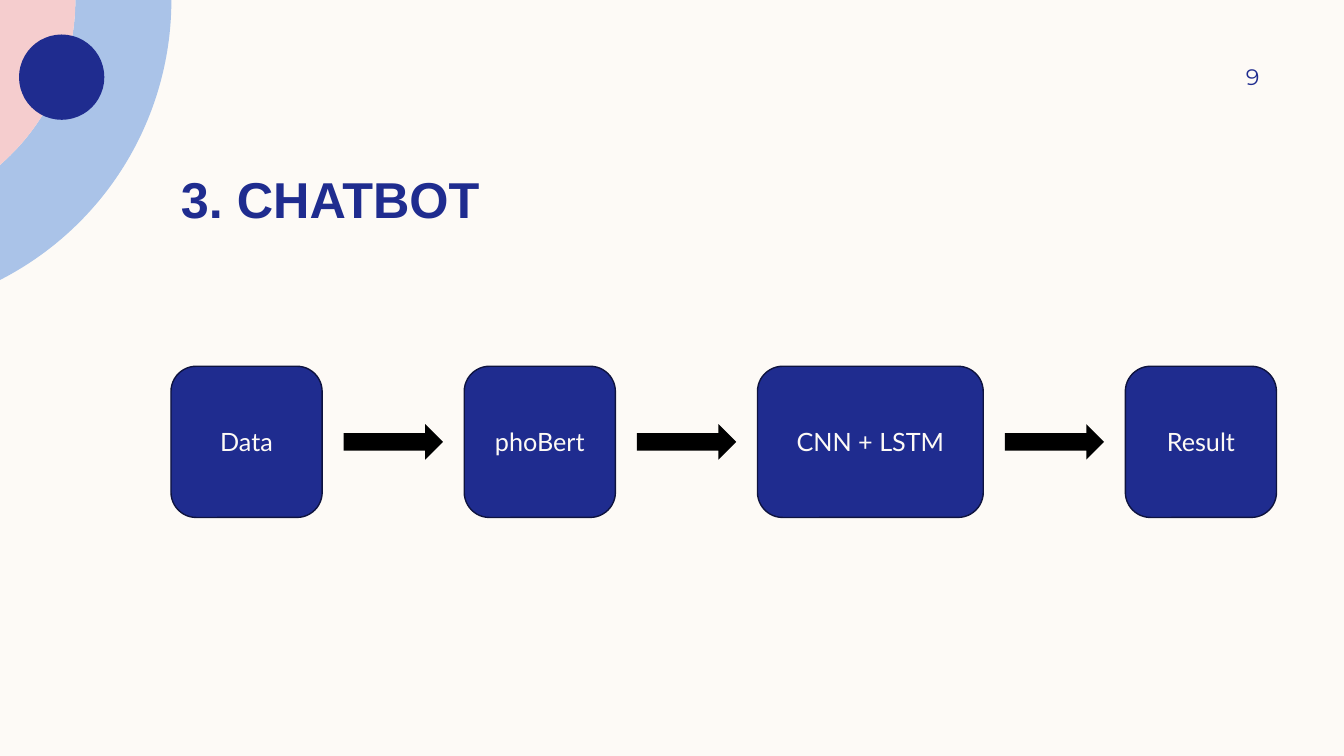
import math

import lxml.etree
import pptx
import pptx.dml.color
import pptx.enum.shapes
import pptx.enum.text
import pptx.oxml.ns
import pptx.util

Cm = pptx.util.Cm
Pt = pptx.util.Pt
qn = pptx.oxml.ns.qn
Shapes = pptx.enum.shapes.MSO_SHAPE
Align = pptx.enum.text.PP_ALIGN
Anchor = pptx.enum.text.MSO_ANCHOR

COLORS = {
    "cream": "FDFAF6",
    "navy": "1F2C8F",
    "outline": "0E133F",
    "sky": "AAC3E8",
    "pink": "F5CDCE",
    "black": "000000",
}
STEPS = [("Data", 3.81), ("phoBert", 3.81), ("CNN + LSTM", 5.69), ("Result", 3.81)]
STEP_LEFT, STEP_TOP, STEP_HEIGHT = 4.31, 9.23, 3.81
STEP_GAP = 3.58
ARROW_WIDTH, ARROW_HEIGHT = 2.46, 0.81
ARC_CENTER_X = -3.6
OUTER_RADIUS, INNER_RADIUS = 7.92, 5.5


def color(name):
    return pptx.dml.color.RGBColor.from_string(COLORS[name])


def paint(shape, fill, line=None):
    shape.shadow.inherit = False
    shape.fill.solid()
    shape.fill.fore_color.rgb = color(fill)
    if line:
        shape.line.color.rgb = color(line)
        shape.line.width = Pt(1)
        outline = shape.element.spPr.find(qn("a:ln"))
        lxml.etree.SubElement(outline, qn("a:miter"), lim="800000")
    else:
        shape.line.fill.background()


def write(shape, text, *, font, size, ink, bold=False, align=Align.LEFT,
          anchor=Anchor.MIDDLE, margins=(0.25, 0.13, 0.25, 0.13)):
    frame = shape.text_frame
    frame.word_wrap = True
    frame.vertical_anchor = anchor
    (frame.margin_left, frame.margin_top,
     frame.margin_right, frame.margin_bottom) = map(Cm, margins)
    para = frame.paragraphs[0]
    para.alignment = align
    span = para.add_run()
    span.text = text
    span.font.name = font
    span.font.size = Pt(size)
    span.font.bold = bold
    span.font.color.rgb = color(ink)


def add_block(page, kind, left, top, width, height, fill, line=None):
    block = page.shapes.add_shape(kind, Cm(left), Cm(top), Cm(width), Cm(height))
    paint(block, fill, line)
    return block


def add_label(page, left, top, width, height, text, **style):
    box = page.shapes.add_textbox(Cm(left), Cm(top), Cm(width), Cm(height))
    write(box, text, **style)


def arc_sweep(radius):
    return math.acos(-ARC_CENTER_X / radius)


def arc_ends(radius):
    return [(ARC_CENTER_X + radius, 0), (0, radius * math.sin(arc_sweep(radius)))]


def arc_element(radius, backward=False):
    sweep = round(math.degrees(arc_sweep(radius)) * 60000)
    start, turn = (sweep, -sweep) if backward else (0, sweep)
    arc = lxml.etree.Element(qn("a:arcTo"))
    size = str(int(Cm(radius)))
    for name, value in (("wR", size), ("hR", size), ("stAng", start), ("swAng", turn)):
        arc.set(name, str(value))
    return arc


def add_outline(page, points, arcs, fill):
    corners = [(Cm(x), Cm(y)) for x, y in points]
    builder = page.shapes.build_freeform(*corners[0])
    builder.add_line_segments(corners[1:], close=True)
    outline = builder.convert_to_shape()
    paint(outline, fill)
    sides = list(outline.element.iter(qn("a:lnTo")))
    for index, arc in arcs.items():
        sides[index].getparent().replace(sides[index], arc)


def add_corner_decoration(page):
    outer, inner = arc_ends(OUTER_RADIUS), arc_ends(INNER_RADIUS)
    add_outline(page, outer + inner[::-1],
                {0: arc_element(OUTER_RADIUS), 2: arc_element(INNER_RADIUS, backward=True)},
                "sky")
    add_outline(page, [(0, 0)] + inner, {1: arc_element(INNER_RADIUS)}, "pink")
    add_block(page, Shapes.OVAL, 0.48, 0.87, 2.15, 2.15, "navy")


def add_pipeline(page):
    left = STEP_LEFT
    arrow_lefts = []
    for name, width in STEPS:
        step = add_block(page, Shapes.ROUNDED_RECTANGLE, left, STEP_TOP,
                         width, STEP_HEIGHT, "navy", "outline")
        write(step, name, font="Lato", size=18, ink="cream", align=Align.CENTER)
        arrow_lefts.append(left + width + (STEP_GAP - ARROW_WIDTH) / 2)
        left += width + STEP_GAP
    arrow_top = STEP_TOP + (STEP_HEIGHT - ARROW_HEIGHT) / 2
    for arrow_left in arrow_lefts[:-1]:
        add_block(page, Shapes.RIGHT_ARROW, arrow_left, arrow_top,
                  ARROW_WIDTH, ARROW_HEIGHT, "black", "black")


def main():
    deck = pptx.Presentation()
    deck.slide_width, deck.slide_height = Cm(33.87), Cm(19.05)
    page = deck.slides.add_slide(deck.slide_layouts[6])
    page.background.fill.solid()
    page.background.fill.fore_color.rgb = color("cream")
    add_corner_decoration(page)
    add_label(page, 4.31, 3.04, 27.43, 2.72, "3. CHATBOT", font="Arial", size=36,
              ink="navy", bold=True, anchor=Anchor.BOTTOM, margins=(0.25, 0, 0.25, 0))
    add_label(page, 28.77, 1.27, 2.97, 1.32, "9", font="Montserrat", size=16,
              ink="navy", align=Align.RIGHT, margins=(0.25, 0.13, 0, 0.13))
    add_pipeline(page)
    deck.save("out.pptx")


if __name__ == "__main__":
    main()
